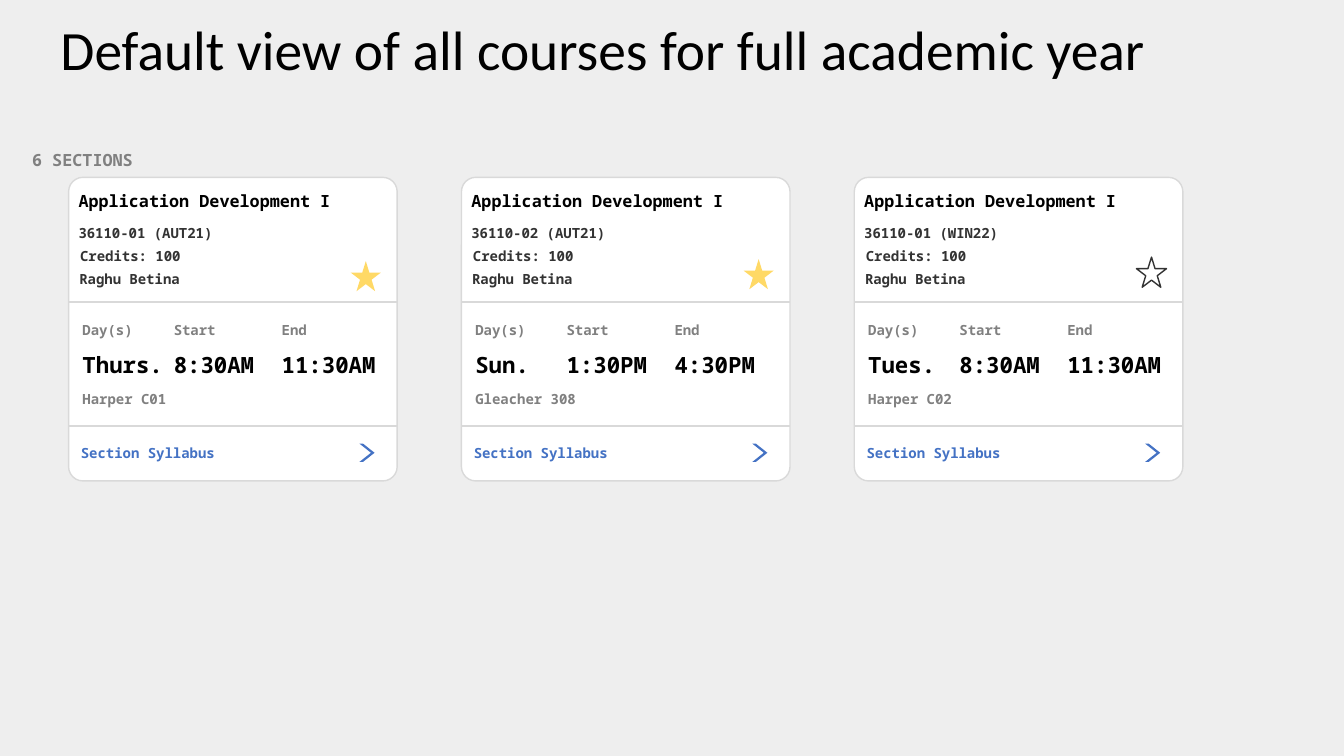
from lxml import etree
from pptx import Presentation
from pptx.dml.color import RGBColor
from pptx.enum.shapes import MSO_CONNECTOR, MSO_SHAPE
from pptx.enum.text import MSO_ANCHOR, MSO_AUTO_SIZE, PP_ALIGN
from pptx.oxml.ns import qn
from pptx.util import Cm, Pt

STRAIGHT = MSO_CONNECTOR.STRAIGHT
CARD, STAR, CHEVRON = MSO_SHAPE.ROUNDED_RECTANGLE, MSO_SHAPE.STAR_5_POINT, MSO_SHAPE.CHEVRON
MIDDLE, LEFT, NO_FIT = MSO_ANCHOR.MIDDLE, PP_ALIGN.LEFT, MSO_AUTO_SIZE.NONE

COLORS = {name: RGBColor.from_string(value) for name, value in {
    "page": "EEEEEE", "card": "FFFFFF", "rule": "D9D9D9", "black": "000000",
    "dark": "333333", "grey": "808080", "star": "FFD966", "link": "4472C4",
}.items()}

deck = Presentation()
deck.slide_width, deck.slide_height = Cm(33.87), Cm(19.05)
page = deck.slides.add_slide(deck.slide_layouts[5])
page.background.fill.solid()
page.background.fill.fore_color.rgb = COLORS["page"]


def add_text(words, left, top, width, height, size, color, inset=True):
    box = page.shapes.add_textbox(Cm(left), Cm(top), Cm(width), Cm(height))
    frame = box.text_frame
    frame.word_wrap = True
    if not inset:
        frame.margin_left = frame.margin_right = 0
        frame.margin_top = frame.margin_bottom = 0
    para = frame.paragraphs[0]
    para.text = words
    para.font.name, para.font.size, para.font.bold = "Noto Sans Mono", Pt(size), True
    para.font.color.rgb = COLORS[color]


def add_figure(kind, left, top, width, height, fill=None, line=None):
    figure = page.shapes.add_shape(kind, Cm(left), Cm(top), Cm(width), Cm(height))
    figure.shadow.inherit = False
    if fill:
        figure.fill.solid()
        figure.fill.fore_color.rgb = COLORS[fill]
    else:
        figure.fill.background()
    if line:
        figure.line.color.rgb = COLORS[line]
        figure.line.width = Pt(1)
    else:
        figure.line.fill.background()
    return figure


# Title
title = page.shapes.title
title.left, title.top, title.width, title.height = Cm(1.27), Cm(0.51), Cm(31.01), Cm(1.65)
title.text_frame.auto_size = NO_FIT
title.text_frame.vertical_anchor = MIDDLE
para = title.text_frame.paragraphs[0]
para.text = "Default view of all courses for full academic year"
para.alignment, para.line_spacing = LEFT, 0.9
para.font.name, para.font.size = "Calibri", Pt(39.6)
para.font.color.rgb = COLORS["black"]

add_text("6 SECTIONS", 0.56, 3.66, 6.58, 0.76, 12, "grey")

# Section cards
FIRST_LEFT, PITCH, CARD_WIDTH = 1.73, 9.9, 8.28
sections = [
    # code, day, start, end, room, star top, star fill, star line
    ("36110-01 (AUT21)", "Thurs.", "8:30AM", "11:30AM", "Harper C01", 6.58, "star", None),
    ("36110-02 (AUT21)", "Sun.", "1:30PM", "4:30PM", "Gleacher 308", 6.53, "star", None),
    ("36110-01 (WIN22)", "Tues.", "8:30AM", "11:30AM", "Harper C02", 6.48, None, "dark"),
]
for index, (code, day, start, end, room, star_top, star_fill, star_line) in enumerate(sections):
    left = FIRST_LEFT + index * PITCH
    card = add_figure(CARD, left, 4.47, CARD_WIDTH, 7.65, "card", "rule")
    card.adjustments[0] = 0.047

    # Dividers
    for top in (7.62, 10.74):
        divider = page.shapes.add_connector(
            STRAIGHT, Cm(left), Cm(top), Cm(left + CARD_WIDTH), Cm(top))
        divider.line.color.rgb = COLORS["rule"]
        divider.line.width = Pt(1.5)
        etree.SubElement(divider._element.spPr, qn("a:effectLst"))

    # Course details and favourite star
    add_text("Application Development I", left, 4.67, 8.3, 0.76, 12, "black")
    add_text(code, left, 5.54, 5.36, 0.68, 10, "dark")
    add_text("Credits: 100", left + 0.04, 6.12, 5.36, 0.68, 10, "dark")
    add_text("Raghu Betina", left + 0.02, 6.68, 6.98, 0.68, 10, "dark")
    add_figure(STAR, left + 7.11, star_top, 0.76, 0.76, star_fill, star_line)

    # Schedule columns
    for label, value, offset in (("Day(s)", day, 0.35), ("Start", start, 2.65), ("End", end, 5.37)):
        add_text(label, left + offset, 8.1, 2.13, 0.43, 10, "grey", inset=False)
        add_text(value, left + offset, 8.84, 2.64, 0.69, 16, "black", inset=False)
    add_text(room, left + 0.35, 9.83, 4.39, 0.43, 10, "grey", inset=False)

    # Syllabus link
    add_text("Section Syllabus", left + 0.06, 11.07, CARD_WIDTH, 0.68, 10, "link")
    arrow = add_figure(CHEVRON, left + 7.33, 11.18, 0.38, 0.46, "link")
    arrow.adjustments[0] = 0.762

deck.save("out.pptx")
